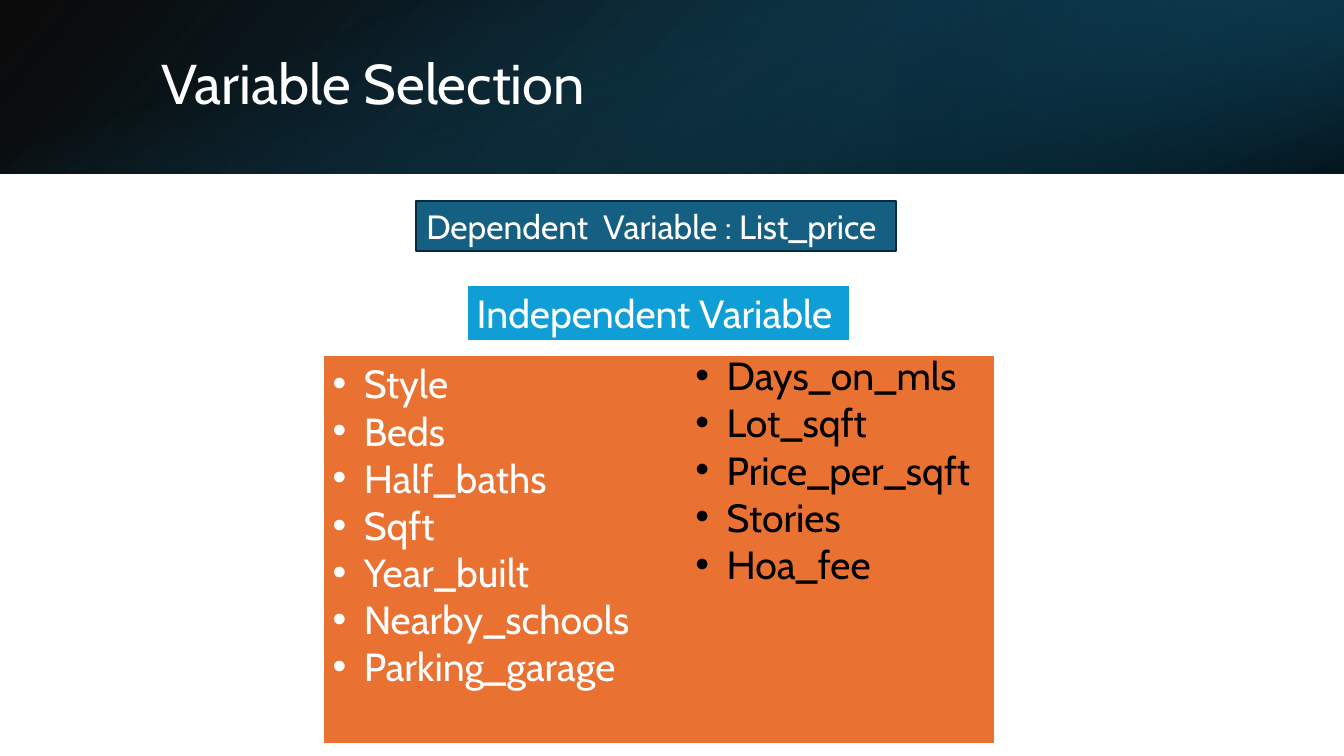
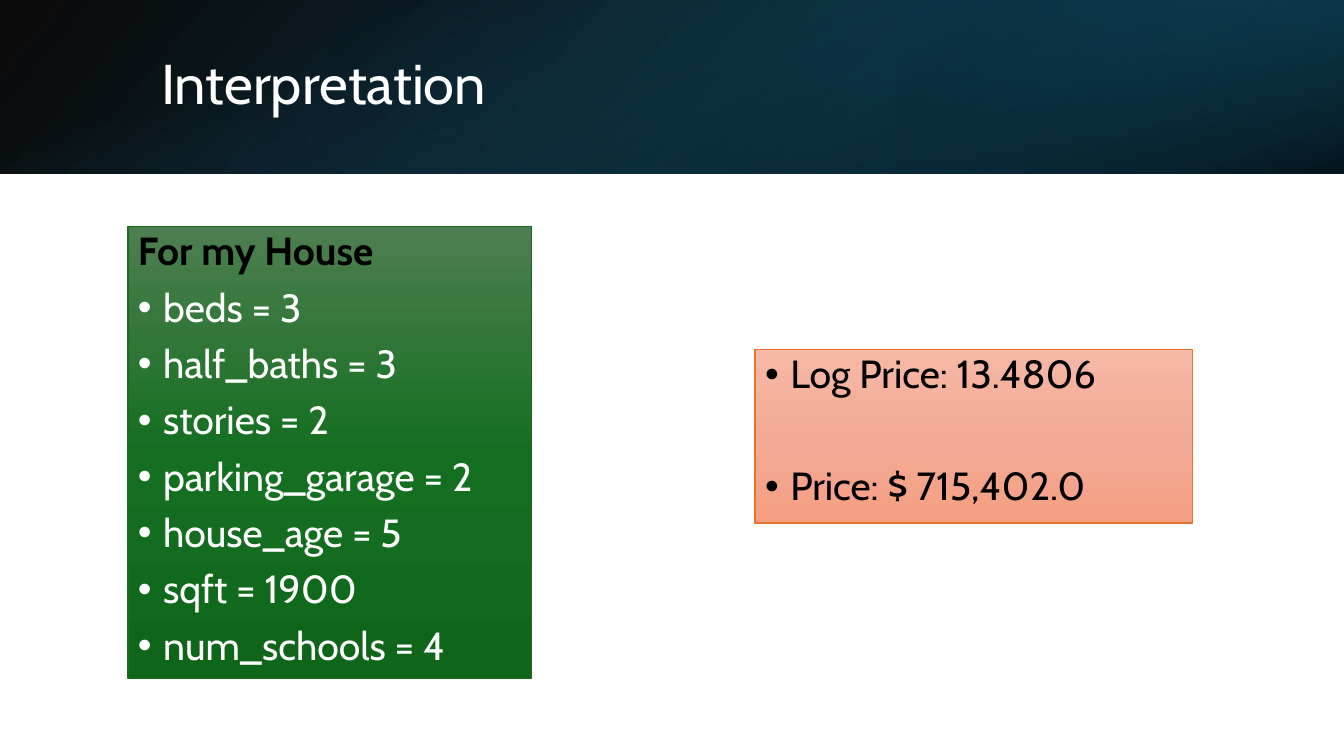
from pptx import Presentation
from pptx import util as u
from pptx.dml.color import RGBColor
from pptx.enum import shapes, text
from pptx.oxml import parse_xml
from pptx.oxml.ns import nsdecls, qn
from lxml import etree

FONT = "Cabin"
WHITE, BLACK = "FFFFFF", "000000"
TEAL, TEAL_EDGE, SKY, ORANGE, GREEN = "156082", "092A39", "0F9ED5", "E97132", "196B24"
GREEN_FADE = [(0, "4D7E50"), (50, "156F21"), (100, "0F661B")]
PEACH_FADE = [(0, "F5B8A5"), (50, "F2AB96"), (100, "F59E82")]
SLIDE_WIDTH, SLIDE_HEIGHT, BAND_HEIGHT = 13.33, 7.5, 1.72


def color(value):
    return RGBColor.from_string(value)


def gradient_fill(shape, stops, angle):
    stop_xml = "".join(
        f'<a:gs pos="{position * 1000}"><a:srgbClr val="{value}">'
        f'<a:alpha val="{(opacity[0] if opacity else 100) * 1000}"/></a:srgbClr></a:gs>'
        for position, value, *opacity in stops
    )
    shape.fill.background()
    properties = shape._element.spPr
    gradient = parse_xml(
        f'<a:gradFill rotWithShape="1" {nsdecls("a")}><a:gsLst>{stop_xml}</a:gsLst>'
        f'<a:lin ang="{angle * 60000}" scaled="0"/></a:gradFill>'
    )
    properties.replace(properties.find(qn("a:noFill")), gradient)


def add_bullet(paragraph, indent):
    properties = paragraph._p.get_or_add_pPr()
    properties.set("marL", str(u.Inches(indent)))
    properties.set("indent", str(-u.Inches(indent)))
    etree.SubElement(properties, qn("a:buFont")).set("typeface", "Arial")
    etree.SubElement(properties, qn("a:buChar")).set("char", "•")


def write_text(shape, lines, size=28, font_color=WHITE, bullet_indent=None, heading=None,
               line_spacing=None, gap=0, anchor=text.MSO_ANCHOR.TOP):
    frame = shape.text_frame
    frame.word_wrap = True
    frame.vertical_anchor = anchor
    entries = ([heading] if heading else []) + lines
    for index, entry in enumerate(entries):
        paragraph = frame.paragraphs[0] if index == 0 else frame.add_paragraph()
        is_heading = heading is not None and index == 0
        paragraph.alignment = text.PP_ALIGN.LEFT
        if line_spacing:
            paragraph.line_spacing = line_spacing
        if index and gap:
            paragraph.space_before = u.Pt(gap)
        if bullet_indent and not is_heading:
            add_bullet(paragraph, bullet_indent)
        run = paragraph.add_run()
        run.text = entry
        run.font.name = FONT
        run.font.size = u.Pt(size)
        run.font.bold = is_heading
        run.font.color.rgb = color(BLACK if is_heading else font_color)


class Deck:
    def __init__(self):
        self.presentation = Presentation()
        self.presentation.slide_width = u.Inches(SLIDE_WIDTH)
        self.presentation.slide_height = u.Inches(SLIDE_HEIGHT)
        self.slide = None

    def new_slide(self, title):
        self.slide = self.presentation.slides.add_slide(self.presentation.slide_layouts[6])
        self.header_band()
        self.text_box(1.5, 0.38, 10.98, 0.96, [title], size=40, line_spacing=0.9,
                      anchor=text.MSO_ANCHOR.MIDDLE)

    def header_band(self):
        self.box(0, 0, SLIDE_WIDTH, BAND_HEIGHT, [(0, BLACK, 96), (100, "104862")],
                 angle=140, flip=True)
        third = SLIDE_WIDTH / 3
        self.box(SLIDE_WIDTH - third, 0, third, BAND_HEIGHT,
                 [(19, "0B3041", 68), (100, TEAL, 79)], angle=320, rotation=180, flip=True)
        offset = (SLIDE_WIDTH - BAND_HEIGHT) / 2
        self.box(offset, -offset, BAND_HEIGHT, SLIDE_WIDTH,
                 [(23, TEAL, 0), (99, BLACK, 74)], angle=340, rotation=90)

    def box(self, left, top, width, height, fill, angle=90, line=None, line_width=1,
            rotation=0, flip=False):
        shape = self.slide.shapes.add_shape(
            shapes.MSO_SHAPE.RECTANGLE,
            u.Inches(left), u.Inches(top), u.Inches(width), u.Inches(height))
        shape.shadow.inherit = False
        shape.rotation = rotation
        if flip:
            shape._element.spPr.find(qn("a:xfrm")).set("flipH", "1")
        if isinstance(fill, str):
            shape.fill.solid()
            shape.fill.fore_color.rgb = color(fill)
        else:
            gradient_fill(shape, fill, angle)
        if line:
            shape.line.color.rgb = color(line)
            shape.line.width = u.Pt(line_width)
        else:
            shape.line.fill.background()
        return shape

    def text_box(self, left, top, width, height, lines, **style):
        shape = self.slide.shapes.add_textbox(
            u.Inches(left), u.Inches(top), u.Inches(width), u.Inches(height))
        write_text(shape, lines, **style)


def variable_selection(deck):
    deck.new_slide("Variable Selection")
    dependent = deck.box(4.13, 1.99, 4.76, 0.5, TEAL, line=TEAL_EDGE, line_width=1.5)
    write_text(dependent, ["Dependent  Variable : List_price"], size=24)
    variables = deck.box(3.2, 3.52, 6.67, 3.87, ORANGE, line=WHITE, line_width=2)
    write_text(variables, ["Style", "Beds", "Half_baths", "Sqft", "Year_built",
                           "Nearby_schools", "Parking_garage"], bullet_indent=0.31)
    deck.text_box(6.8, 3.44, 3.07, 2.46,
                  ["Days_on_mls", "Lot_sqft", "Price_per_sqft", "Stories", "Hoa_fee"],
                  font_color=BLACK, bullet_indent=0.31)
    independent = deck.box(4.63, 2.82, 3.81, 0.57, SKY, line=WHITE, line_width=2)
    write_text(independent, ["Independent Variable"])


def interpretation(deck):
    deck.new_slide("Interpretation")
    prices = deck.box(7.49, 3.47, 4.34, 1.72, PEACH_FADE, line=ORANGE)
    write_text(prices, ["Log Price: 13.4806", "Price: $ 715,402.0"], font_color=BLACK,
               bullet_indent=0.25, line_spacing=0.9, gap=50)
    house = deck.box(1.27, 2.25, 4, 4.48, GREEN_FADE, line=GREEN)
    write_text(house, ["beds = 3", "half_baths = 3", "stories = 2", "parking_garage = 2",
                       "house_age = 5", "sqft = 1900", "num_schools = 4"],
               heading="For my House", bullet_indent=0.25, line_spacing=0.9, gap=10)


def main():
    deck = Deck()
    variable_selection(deck)
    interpretation(deck)
    deck.presentation.save("out.pptx")


if __name__ == "__main__":
    main()
